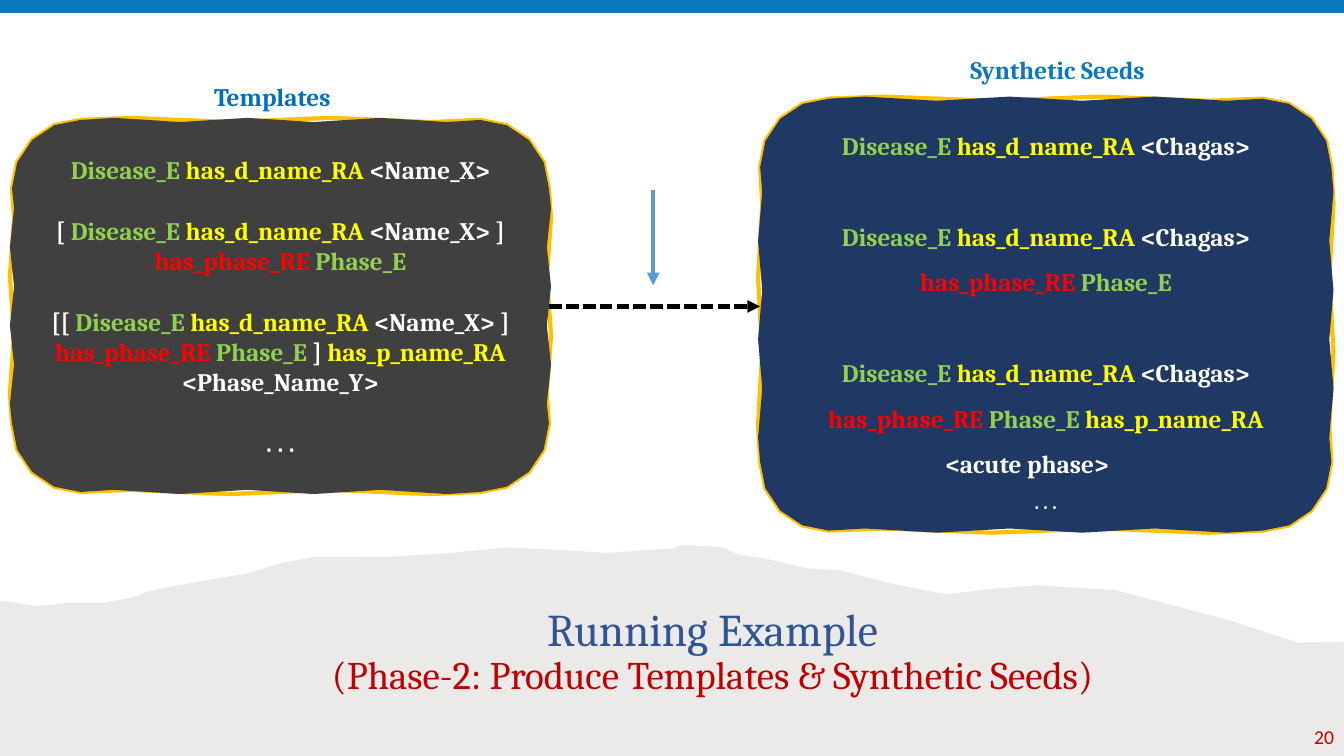
import math
from dataclasses import dataclass
from itertools import groupby

import pptx
import pptx.dml.color
import pptx.enum.dml
import pptx.enum.shapes
import pptx.enum.text
import pptx.oxml.ns
import pptx.shapes.base
import pptx.slide
import pptx.text.text
import pptx.util
from lxml import etree
from pptx.util import Pt

ALIGN = pptx.enum.text.PP_ALIGN
ANCHOR = pptx.enum.text.MSO_ANCHOR
Point = tuple[float, float]


@dataclass(frozen=True)
class Theme:
    serif: str = "Cambria"
    sans: str = "Calibri"
    bar: str = "0B78BD"
    paper: str = "82766A"
    title: str = "2F5597"
    accent: str = "C00000"
    gold: str = "FFC000"
    entity: str = "92D050"
    attribute: str = "FFFF00"
    relation: str = "FF0000"
    plain: str = "FFFFFF"
    left_panel: str = "404040"
    right_panel: str = "203864"
    left_label: str = "0070C0"
    flow: str = "000000"
    step: str = "5B9BD5"
    title_size: float = 32.4
    subtitle_size: float = 27.9
    text_size: float = 18
    small_size: float = 14


THEME = Theme()


@dataclass(frozen=True)
class Box:
    left: float
    top: float
    width: float
    height: float


@dataclass(frozen=True)
class Line:
    text: str
    starts_block: bool = False
    size: float = THEME.text_size


@dataclass(frozen=True)
class Panel:
    box: Box
    fill: str
    line_spacing: float
    block_gap: float
    lines: list[Line]
    label: str
    label_box: Box
    label_color: str


@dataclass(frozen=True)
class Arrow:
    start: Point
    end: Point
    color: str
    dashed: bool = False


PANELS = [
    Panel(Box(8.6, 85.7, 383.5, 265.7), THEME.left_panel, 1, 21.6, [
        Line("Disease_E has_d_name_RA <Name_X>"),
        Line("[ Disease_E has_d_name_RA <Name_X> ] has_phase_RE Phase_E", True),
        Line("[[ Disease_E has_d_name_RA <Name_X> ] has_phase_RE Phase_E ] "
             "has_p_name_RA <Phase_Name_Y>", True),
        Line(". . .", True),
    ], "Templates", Box(96.5, 54.7, 160, 29), THEME.left_label),
    Panel(Box(543, 70.5, 408, 308.5), THEME.right_panel, 1.5, 32.4, [
        Line("Disease_E has_d_name_RA <Chagas>"),
        Line("Disease_E has_d_name_RA <Chagas> has_phase_RE Phase_E", True),
        Line("Disease_E has_d_name_RA <Chagas> has_phase_RE Phase_E has_p_name_RA", True),
        Line("<acute phase>\t"),
        Line(". . .", size=THEME.small_size),
    ], "Synthetic Seeds", Box(634.3, 35.3, 206, 29), THEME.bar),
]
ARROWS = [
    Arrow((392.4, 218.9), (542.9, 218.9), THEME.flow, dashed=True),
    Arrow((466.6, 135.4), (466.6, 203.8), THEME.step),
]
RIDGE: list[Point] = [
    (0, 429), (27, 433), (49, 430.5), (74, 430.5), (94, 427), (107, 422), (144, 415),
    (175, 410), (202, 402), (223, 398), (282, 397.5), (322, 395), (362, 391),
    (402, 393), (433, 395), (482, 391.5), (487, 389), (516, 391), (527, 396),
    (549, 399.5), (577, 406), (601, 407.5), (637, 417), (676, 424.5), (715, 420),
    (740, 418), (797, 421.5), (842, 433.5), (881, 444), (927, 459), (960, 458.5),
]


def rgb(color: str) -> pptx.dml.color.RGBColor:
    return pptx.dml.color.RGBColor.from_string(color)


def style_run(run: pptx.text.text._Run, size: float, color: str,
              font: str = THEME.serif, bold: bool = False) -> None:
    run.font.name, run.font.size, run.font.bold = font, Pt(size), bold
    run.font.color.rgb = rgb(color)


def paint(shape: pptx.shapes.base.BaseShape, color: str) -> None:
    """Fill the shape flat, with no line and no shadow."""
    shape.shadow.inherit = False
    shape.fill.solid()
    shape.fill.fore_color.rgb = rgb(color)
    shape.line.fill.background()


def add_outline(slide: pptx.slide.Slide, points: list[Point]) -> pptx.shapes.base.BaseShape:
    corners = [(Pt(x), Pt(y)) for x, y in points]
    builder = slide.shapes.build_freeform(*corners[0])
    builder.add_line_segments(corners[1:], close=True)
    return builder.convert_to_shape()


def wavy_box(box: Box, waves: int, radius: float = 49, depth: float = 1.5) -> list[Point]:
    """Rounded rectangle whose straight edges ripple, clockwise from the left."""
    arc_steps, edge_steps = 4, 4 * waves
    inner_width, inner_height = box.width - 2 * radius, box.height - 2 * radius
    x, y = box.left + radius, box.top + radius
    corners = [(x, y, inner_width), (x + inner_width, y, inner_height),
               (x + inner_width, y + inner_height, inner_width), (x, y + inner_height, inner_height)]
    points: list[Point] = []
    for index, (x, y, edge) in enumerate(corners):
        for step in range(arc_steps):
            angle = math.pi + (index + step / arc_steps) * math.pi / 2
            points.append((x + radius * math.cos(angle), y + radius * math.sin(angle)))
        normal = (index + 3) * math.pi / 2
        cosine, sine = math.cos(normal), math.sin(normal)
        for step in range(edge_steps):
            along = edge * step / edge_steps
            reach = radius + depth * math.sin(2 * math.pi * waves * step / edge_steps)
            points.append((x + reach * cosine - along * sine, y + reach * sine + along * cosine))
    return points


def term_color(word: str) -> str:
    """Colour by suffix: entity, attribute relation, entity relation."""
    suffixes = {"E": THEME.entity, "RA": THEME.attribute, "RE": THEME.relation}
    return suffixes.get(word.rpartition("_")[2], THEME.plain)


def add_text(slide: pptx.slide.Slide, box: Box, text: str, size: float, color: str,
             align: ALIGN, font: str = THEME.serif, bold: bool = False, indent: float = 7.2) -> None:
    frame = slide.shapes.add_textbox(*map(Pt, (box.left, box.top, box.width, box.height))).text_frame
    frame.word_wrap, frame.margin_left = True, Pt(indent)
    frame.vertical_anchor = ANCHOR.MIDDLE
    frame.text = text
    frame.paragraphs[0].alignment = align
    style_run(frame.paragraphs[0].runs[0], size, color, font, bold)


def add_panel(slide: pptx.slide.Slide, panel: Panel) -> None:
    border = add_outline(slide, wavy_box(panel.box, waves=2))
    border.shadow.inherit = False
    border.fill.background()
    border.line.color.rgb, border.line.width = rgb(THEME.gold), Pt(3)
    body = add_outline(slide, wavy_box(panel.box, waves=3))
    paint(body, panel.fill)
    frame = body.text_frame
    frame.word_wrap, frame.vertical_anchor = True, ANCHOR.MIDDLE
    for index, line in enumerate(panel.lines):
        paragraph = frame.add_paragraph() if index else frame.paragraphs[0]
        paragraph.alignment, paragraph.line_spacing = ALIGN.CENTER, panel.line_spacing
        if line.starts_block:
            paragraph.space_before = Pt(panel.block_gap)
        groups = [(color, " ".join(words)) for color, words in groupby(line.text.split(" "), term_color)]
        for position, (color, text) in enumerate(groups, start=1):
            run = paragraph.add_run()
            run.text = text + (" " if position < len(groups) else "")
            style_run(run, line.size, color, bold=True)
    add_text(slide, panel.label_box, panel.label, THEME.text_size, panel.label_color,
             ALIGN.CENTER, bold=True, indent=43.2)


def add_arrow(slide: pptx.slide.Slide, arrow: Arrow) -> None:
    connector = slide.shapes.add_connector(
        pptx.enum.shapes.MSO_CONNECTOR.STRAIGHT, *map(Pt, arrow.start + arrow.end))
    connector.line.color.rgb, connector.line.width = rgb(arrow.color), Pt(3)
    if arrow.dashed:
        connector.line.dash_style = pptx.enum.dml.MSO_LINE.SQUARE_DOT
    properties = connector.element.spPr
    line = properties.find(pptx.oxml.ns.qn("a:ln"))
    etree.SubElement(line, pptx.oxml.ns.qn("a:tailEnd"), type="triangle")
    etree.SubElement(properties, pptx.oxml.ns.qn("a:effectLst"))


def add_title(slide: pptx.slide.Slide) -> None:
    title = slide.shapes.title
    title.left, title.top, title.width, title.height = map(Pt, (204.5, 426.2, 609, 76.3))
    frame = title.text_frame
    frame.auto_size = pptx.enum.text.MSO_AUTO_SIZE.NONE
    frame.word_wrap, frame.vertical_anchor = True, ANCHOR.BOTTOM
    paragraph = frame.paragraphs[0]
    paragraph.text = "Running Example\v(Phase-2: Produce Templates & Synthetic Seeds)"
    paragraph.alignment, paragraph.line_spacing = ALIGN.CENTER, 0.9
    style_run(paragraph.runs[0], THEME.title_size, THEME.title)
    style_run(paragraph.runs[1], THEME.subtitle_size, THEME.accent)


def add_backdrop(slide: pptx.slide.Slide) -> None:
    """Top bar and translucent torn paper, both behind the title."""
    bar = slide.shapes.add_shape(pptx.enum.shapes.MSO_SHAPE.RECTANGLE, 0, 0, Pt(960), Pt(9.2))
    paint(bar, THEME.bar)
    paper = add_outline(slide, RIDGE + [(960, 540), (0, 540)])
    paint(paper, THEME.paper)
    color = paper.element.spPr.find(".//" + pptx.oxml.ns.qn("a:srgbClr"))
    etree.SubElement(color, pptx.oxml.ns.qn("a:alpha"), val="15000")
    for shape in (bar, paper):
        slide.shapes.title.element.addprevious(shape.element)


def main() -> None:
    presentation = pptx.Presentation()
    presentation.slide_width, presentation.slide_height = Pt(960), Pt(540)
    slide = presentation.slides.add_slide(presentation.slide_layouts[5])
    add_title(slide)
    add_backdrop(slide)
    add_text(slide, Box(929.5, 512, 30.5, 29), "20", THEME.small_size, THEME.accent,
             ALIGN.RIGHT, THEME.sans)
    for panel in PANELS:
        add_panel(slide, panel)
    for arrow in ARROWS:
        add_arrow(slide, arrow)
    presentation.save("out.pptx")


if __name__ == "__main__":
    main()
